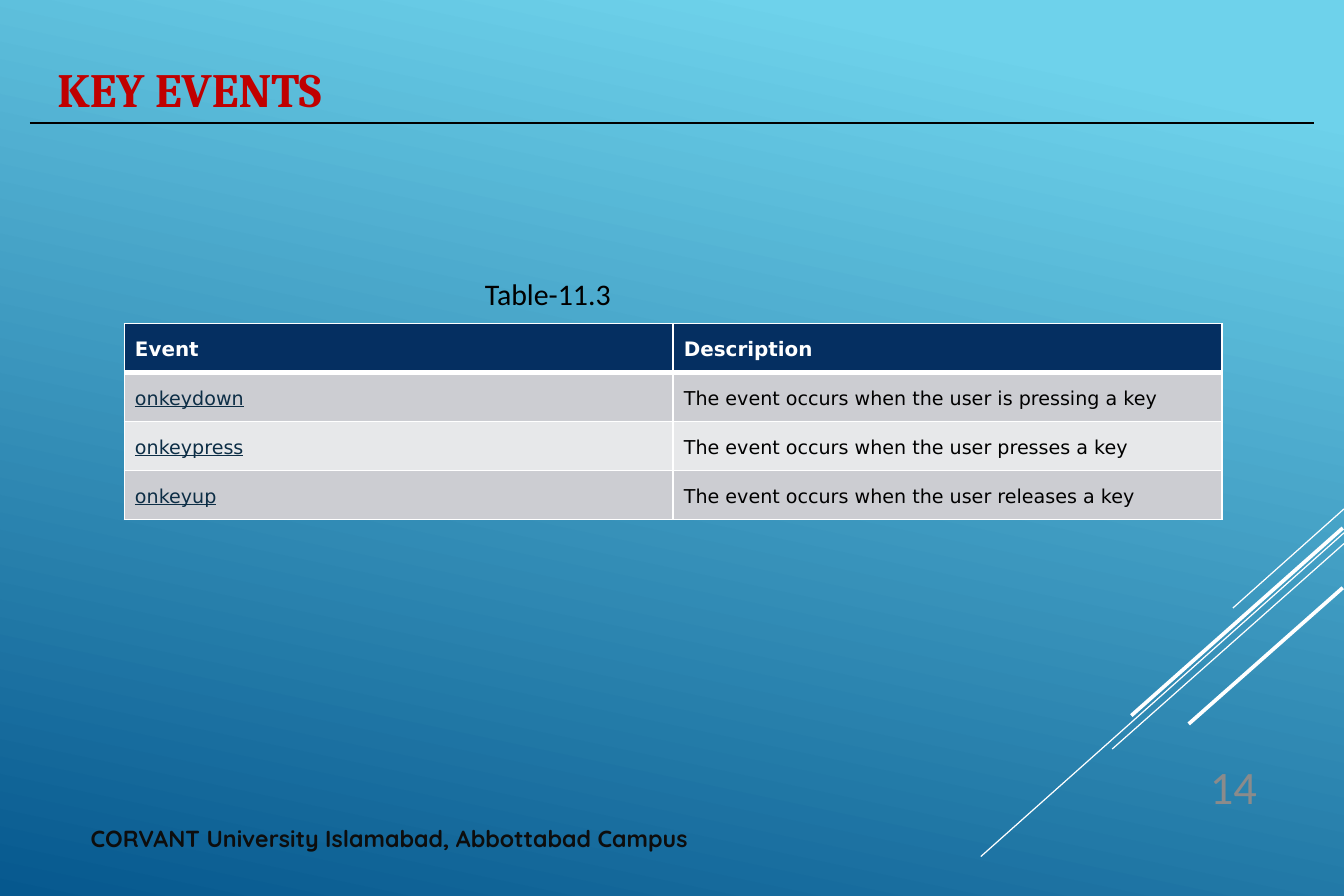
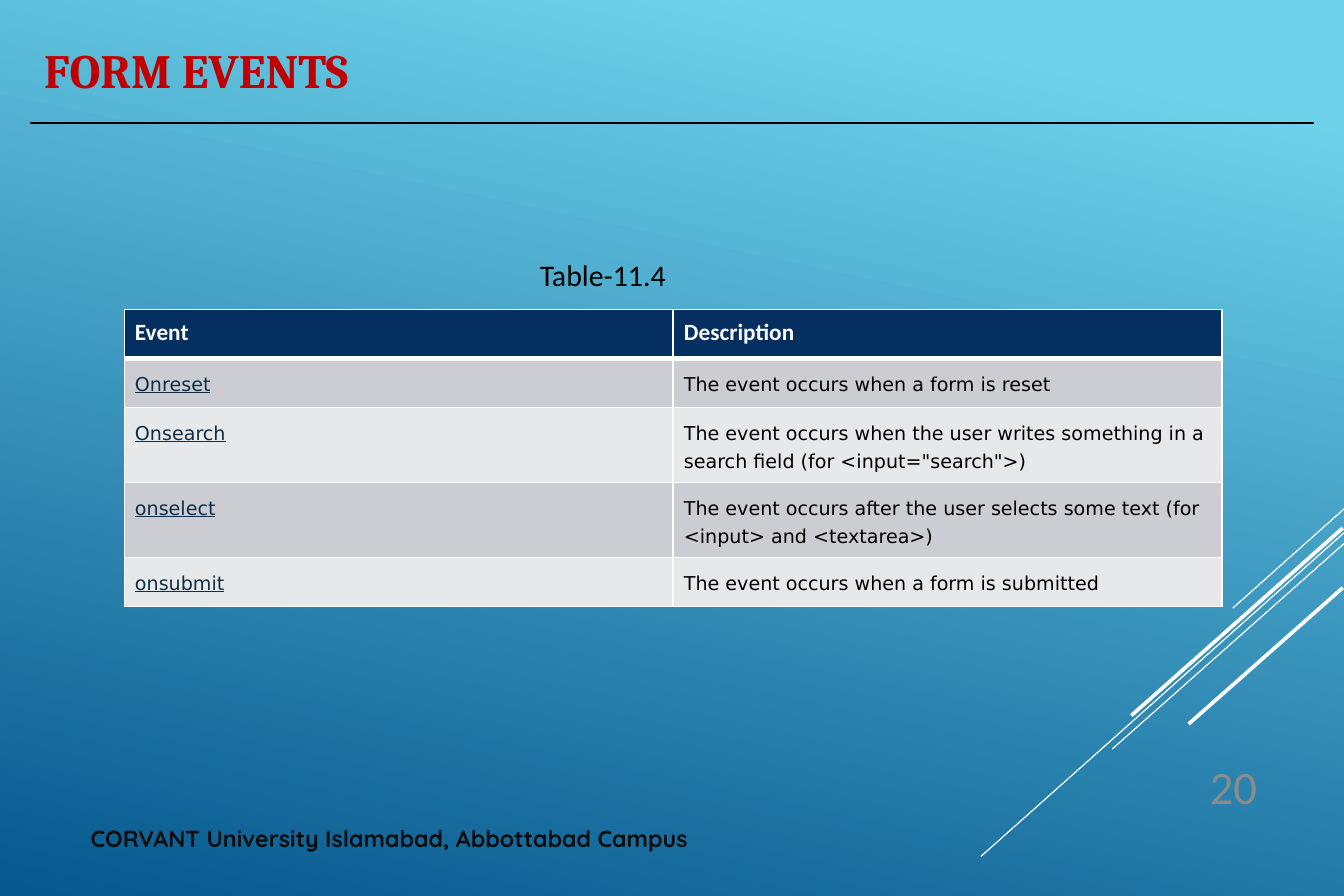
from lxml.etree import SubElement
from pptx import Presentation
from pptx.dml.color import RGBColor
from pptx.enum.shapes import MSO_CONNECTOR
from pptx.enum.text import MSO_ANCHOR, MSO_AUTO_SIZE, PP_ALIGN
from pptx.oxml import parse_xml
from pptx.oxml.ns import nsdecls, qn
from pptx.util import Inches, Pt

# Content
FOOTER = "CORVANT University Islamabad, Abbottabad Campus"
HEADER = ("Event", "Description")
SLIDES = [
    {
        "title": "KEY EVENTS", "title_at": (0.38, 0.45, 8.06, 0.58),
        "caption": "Table-11.3", "caption_at": (3.96, 2.26, 1.38, 0.4),
        "number": "14", "table_top": 2.71, "header_font": ("DejaVu Sans", 12),
        "rows": [
            ("onkeydown", "The event occurs when the user is pressing a key"),
            ("onkeypress", "The event occurs when the user presses a key"),
            ("onkeyup", "The event occurs when the user releases a key"),
        ],
    },
    {
        "title": "FORM EVENTS", "title_at": (0.27, 0.29, 9.72, 0.58),
        "caption": "Table-11.4", "caption_at": (4.42, 2.1, 1.38, 0.4),
        "number": "20", "table_top": 2.59, "header_font": ("Calibri", 14),
        "rows": [
            ("Onreset", "The event occurs when a form is reset"),
            ("Onsearch", "The event occurs when the user writes something in a "
                         'search field (for <input="search">)'),
            ("onselect", "The event occurs after the user selects some text "
                         "(for <input> and <textarea>)"),
            ("onsubmit", "The event occurs when a form is submitted"),
        ],
    },
]

# Shared look
WHITE, BLACK, RED, NAVY = "FFFFFF", "000000", "C00000", "052F61"
LINK, FOOTER_INK, NUMBER_INK = "0D2E46", "0D0D0D", "8B8B8B"
BANDS = ("CCCDD2", "E7E8EA")
BACKGROUND = ((0.1, "6ED2EB"), (1, "06588E"))
TABLE_LEFT, TABLE_WIDTH, ROW_HEIGHT = 1.04, 9.19, 0.41
DIAGONALS = [  # x1, y1, x2, y2, width in points
    (11.25, 4.26, 10.32, 5.09, 0.75),
    (11.25, 4.46, 8.21, 7.17, 0.75),
    (11.25, 4.55, 9.31, 6.27, 0.75),
    (11.24, 4.42, 9.47, 5.99, 2.25),
    (11.24, 4.92, 9.95, 6.06, 2.25),
]


def rgb(value):
    return RGBColor.from_string(value)


def write(tf, text, font, size, color, bold=False, underline=False,
          align=PP_ALIGN.LEFT):
    tf.text = text
    p = tf.paragraphs[0]
    p.alignment = align
    f = p.runs[0].font
    f.name, f.size, f.bold, f.underline = font, Pt(size), bold, underline
    f.color.rgb = rgb(color)
    return p


def add_text(s, at, *style, **options):
    tf = s.shapes.add_textbox(*map(Inches, at)).text_frame
    tf.word_wrap = True
    write(tf, *style, **options)


def add_line(s, x1, y1, x2, y2, width, color):
    ln = s.shapes.add_connector(MSO_CONNECTOR.STRAIGHT,
                                *map(Inches, (x1, y1, x2, y2)))
    ln.line.color.rgb = rgb(color)
    ln.line.width = Pt(width)
    SubElement(ln.element.spPr, qn("a:effectLst"))
    return ln


def set_borders(cell, top, bottom):
    tcPr = cell._tc.get_or_add_tcPr()
    widths = {"lnL": 1, "lnR": 1, "lnT": top, "lnB": bottom}
    for i, (tag, width) in enumerate(widths.items()):
        tcPr.insert(i, parse_xml(
            f'<a:{tag} {nsdecls("a")} w="{Pt(width)}"><a:solidFill>'
            f'<a:srgbClr val="{WHITE}"/></a:solidFill></a:{tag}>'))


def add_event_table(s, top, rows, header_font):
    grid = [HEADER, *rows]
    table = s.shapes.add_table(
        len(grid), 2, Inches(TABLE_LEFT), Inches(top), Inches(TABLE_WIDTH),
        Inches(ROW_HEIGHT * len(grid))).table
    for r, texts in enumerate(grid):
        for c, text in enumerate(texts):
            cell = table.cell(r, c)
            cell.margin_left = cell.margin_right = Inches(0.09)
            cell.margin_top = cell.margin_bottom = Inches(0.08)
            cell.fill.solid()
            cell.fill.fore_color.rgb = rgb(BANDS[(r - 1) % 2] if r else NAVY)
            set_borders(cell, 3 if r == 1 else 1, 1 if r else 3)
            if r == 0:
                p = write(cell.text_frame, text, *header_font, WHITE, bold=True)
            else:
                p = write(cell.text_frame, text, "DejaVu Sans", 11.5,
                          BLACK if c else LINK, underline=c == 0)
            p.line_spacing = Pt(16.9)
            p.space_before = p.space_after = Pt(12)


def add_title(s, text, at):
    title = s.shapes.title
    title.left, title.top, title.width, title.height = map(Inches, at)
    tf = title.text_frame
    tf.auto_size = MSO_AUTO_SIZE.NONE
    tf.vertical_anchor = MSO_ANCHOR.MIDDLE
    write(tf, text, "Cambria", 28.8, RED, bold=True)


def set_background(master):
    fill = master.background.fill
    fill.gradient()
    fill.gradient_angle = 360 - 102
    for stop, (position, color) in zip(fill.gradient_stops, BACKGROUND):
        stop.position = position
        stop.color.rgb = rgb(color)


def main():
    prs = Presentation()
    prs.slide_width, prs.slide_height = Inches(11.25), Inches(7.5)
    set_background(prs.slide_master)
    for data in SLIDES:
        s = prs.slides.add_slide(prs.slide_layouts[5])
        # Frame shared by the slides
        for *ends, width in DIAGONALS:
            add_line(s, *ends, width, WHITE)
        add_line(s, 0.25, 1.03, 11, 1.03, 0.75, BLACK)
        add_text(s, (0.66, 6.85, 7.15, 0.4), FOOTER, "Quicksand", 14,
                 FOOTER_INK, bold=True)
        add_text(s, (9.6, 6.3, 1.02, 0.57), data["number"], "Calibri", 28,
                 NUMBER_INK, align=PP_ALIGN.RIGHT)
        # Title, caption and table
        add_title(s, data["title"], data["title_at"])
        add_text(s, data["caption_at"], data["caption"], "Calibri", 18, BLACK)
        add_event_table(s, data["table_top"], data["rows"], data["header_font"])
    prs.save("out.pptx")


if __name__ == "__main__":
    main()
